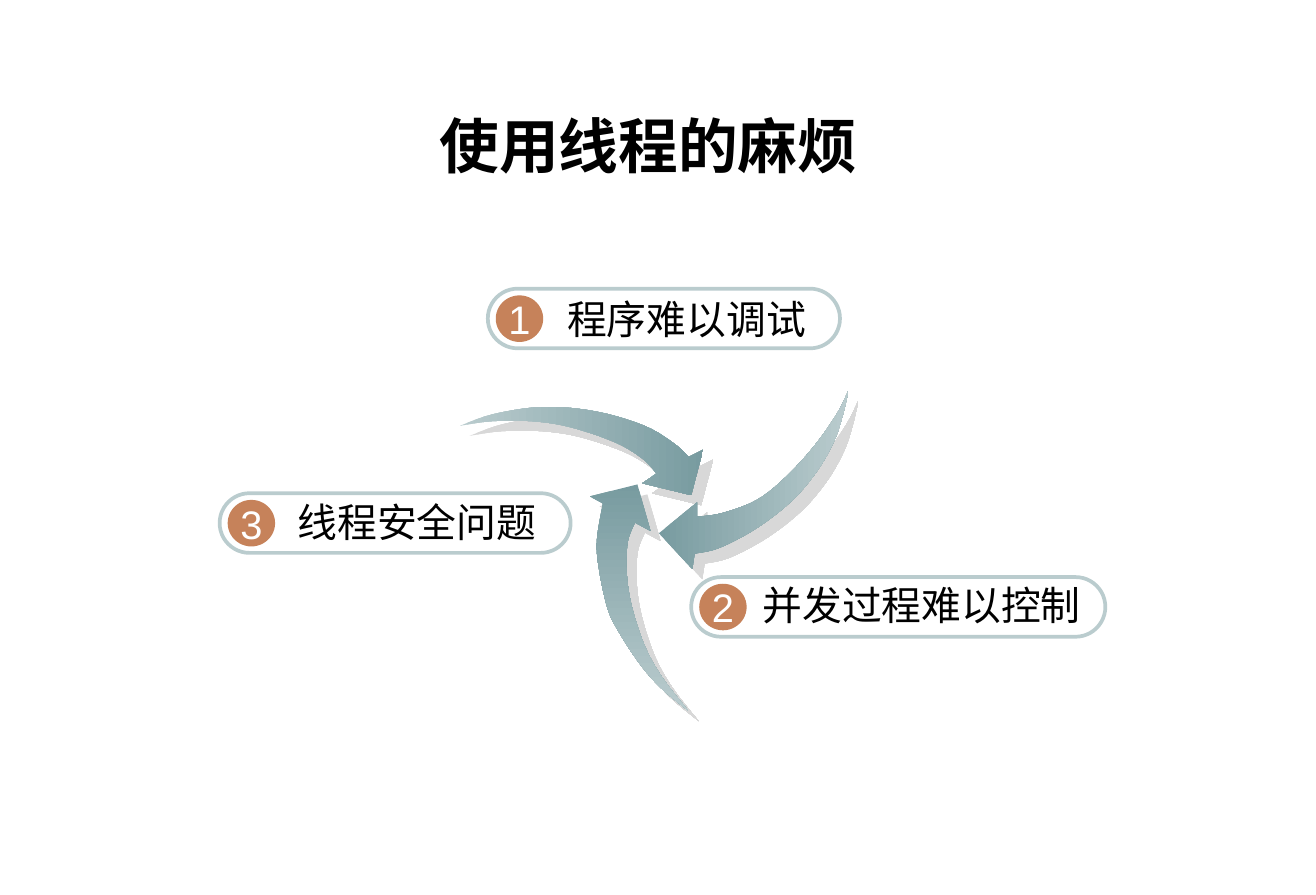
import pptx
import pptx.dml.color
import pptx.enum.shapes
import pptx.enum.text
import pptx.oxml
import pptx.oxml.ns
import pptx.util

Pt = pptx.util.Pt
SHAPES = pptx.enum.shapes.MSO_SHAPE

COLORS = {"black": "000000", "white": "FFFFFF", "pale": "BACCCE",
          "teal": "789BA0", "copper": "C6825A", "shadow": "B2B2B2"}

SLIDE_SIZE = (793.7, 540)
TITLE = "使用线程的麻烦"
TITLE_BOX = (256, 61.6, 270, 51)

# number, text, pill (left, top, width), text (left, top, width)
LABELS = [
    ("1", "程序难以调试", (294.2, 174.2, 212.4), (329, 174.2, 170)),
    ("2", "并发过程难以控制", (416.9, 348.2, 249.8), (450, 346.6, 211.7)),
    ("3", "线程安全问题", (132.5, 297.6, 211.7), (164, 296.6, 175)),
]
PILL_HEIGHT = 36
BADGE_INSET = (4.8, 4)
BADGE_SIZE = (28.6, 28.1)

# Each arrow runs along its outer edge to the head, then back to the tail.
ARROWS = [
    {"outer": [(277.2, 257), (298, 249.8), (328.3, 245.5), (360, 248.4),
               (388.8, 257), (406.8, 267.8), (415.4, 275.8)],
     "head": [(424.1, 271.4), (416.9, 298.8), (387.4, 291.6)],
     "inner": [(396, 285.8), (388.1, 277.2), (371.5, 267.1), (344.2, 257.8),
               (321.1, 254.2), (296.6, 254.2), (277.2, 257)],
     "stops": ("pale", "teal"), "angle": 0},
    {"outer": [(415.4, 429.1), (398.2, 414.7), (385.2, 399.6), (373, 380.9),
               (366.5, 367.2), (361.4, 344.2), (360, 326.2), (363.6, 303.8)],
     "head": [(355.7, 299.5), (384.5, 292.3), (392.4, 320.4)],
     "inner": [(383, 315.4), (378.7, 326.9), (378, 344.9), (380.9, 365),
               (388.8, 389.5), (399.6, 409), (415.4, 429.1)],
     "stops": ("teal", "pale"), "angle": 270},
    {"outer": [(511.9, 235.4), (504.7, 249.8), (491, 269.3), (473.8, 288),
               (456.5, 301.7), (435.6, 309.6), (420.5, 311.8)],
     "head": [(420.5, 303.1), (397.4, 321.8), (417.6, 343.4)],
     "inner": [(419, 334.1), (434.2, 330.5), (457.2, 318.2), (478.1, 301.7),
               (493.2, 283.7), (503.3, 265.7), (508.3, 250.6), (511.9, 235.4)],
     "stops": ("teal", "pale"), "angle": 0},
]
CURVE_STEPS = 5
SHADOW_XML = (
    f'<a:effectLst {pptx.oxml.ns.nsdecls("a")}>'
    f'<a:outerShdw blurRad="0" dist="{Pt(8.5)}" dir="2700000" algn="ctr" rotWithShape="0">'
    f'<a:srgbClr val="{COLORS["shadow"]}"><a:alpha val="50000"/></a:srgbClr>'
    '</a:outerShdw></a:effectLst>')


def color(name):
    return pptx.dml.color.RGBColor.from_string(COLORS[name])


def smooth_curve(knots):
    """Return points of a Catmull-Rom spline through the knots."""
    padded = [knots[0], *knots, knots[-1]]
    points = [knots[0]]
    for a, b, c, d in zip(padded, padded[1:], padded[2:], padded[3:]):
        for step in range(1, CURVE_STEPS + 1):
            t = step / CURVE_STEPS
            points.append(tuple(
                b[i] + ((c[i] - a[i]) * t
                        + (2 * a[i] - 5 * b[i] + 4 * c[i] - d[i]) * t ** 2
                        + (3 * b[i] - a[i] - 3 * c[i] + d[i]) * t ** 3) / 2
                for i in (0, 1)))
    return points


def add_arrow(page, arrow):
    outline = smooth_curve(arrow["outer"]) + arrow["head"] + smooth_curve(arrow["inner"])
    corners = [(Pt(x), Pt(y)) for x, y in outline]
    builder = page.shapes.build_freeform(*corners[0])
    builder.add_line_segments(corners[1:], close=True)
    shape = builder.convert_to_shape()
    shape.line.fill.background()
    shape.fill.gradient()
    shape.fill.gradient_angle = arrow["angle"]
    for stop, name in zip(shape.fill.gradient_stops, arrow["stops"]):
        stop.color.rgb = color(name)
    shape._element.spPr.append(pptx.oxml.parse_xml(SHADOW_XML))


def write(box, text, size, ink, wrap, bold=False):
    """Put one centred line of text in the box, without margins."""
    frame = box.text_frame
    frame.text = text
    frame_format = {"margin_left": 0, "margin_right": 0, "margin_top": 0,
                    "margin_bottom": 0, "word_wrap": wrap,
                    "vertical_anchor": pptx.enum.text.MSO_ANCHOR.MIDDLE}
    for name, value in frame_format.items():
        setattr(frame, name, value)
    para = frame.paragraphs[0]
    para.alignment = pptx.enum.text.PP_ALIGN.CENTER
    font = para.runs[0].font
    for name, value in {"name": "Arial", "size": Pt(size), "bold": bold}.items():
        setattr(font, name, value)
    font.color.rgb = color(ink)


def add_label(page, number, text, pill_place, text_place):
    left, top, width = pill_place
    pill = page.shapes.add_shape(SHAPES.ROUNDED_RECTANGLE,
                                 *map(Pt, (left, top, width, PILL_HEIGHT)))
    pill.adjustments[0] = 0.5
    pill.shadow.inherit = False
    pill.fill.background()
    pill.line.color.rgb = color("pale")
    pill.line.width = Pt(2.25)

    box = page.shapes.add_textbox(*map(Pt, (*text_place, PILL_HEIGHT)))
    write(box, text, 24, "black", True)

    badge = page.shapes.add_shape(
        SHAPES.OVAL,
        *map(Pt, (left + BADGE_INSET[0], top + BADGE_INSET[1], *BADGE_SIZE)))
    badge.shadow.inherit = False
    badge.fill.solid()
    badge.fill.fore_color.rgb = color("copper")
    badge.line.fill.background()
    write(badge, number, 24, "white", False)


def main():
    deck = pptx.Presentation()
    deck.slide_width, deck.slide_height = map(Pt, SLIDE_SIZE)
    page = deck.slides.add_slide(deck.slide_layouts[5])
    title = page.shapes.title
    for name, value in zip(("left", "top", "width", "height"), TITLE_BOX):
        setattr(title, name, Pt(value))
    write(title, TITLE, 36, "black", False, bold=True)
    for arrow in ARROWS:
        add_arrow(page, arrow)
    for label in LABELS:
        add_label(page, *label)
    deck.save("out.pptx")


if __name__ == "__main__":
    main()
